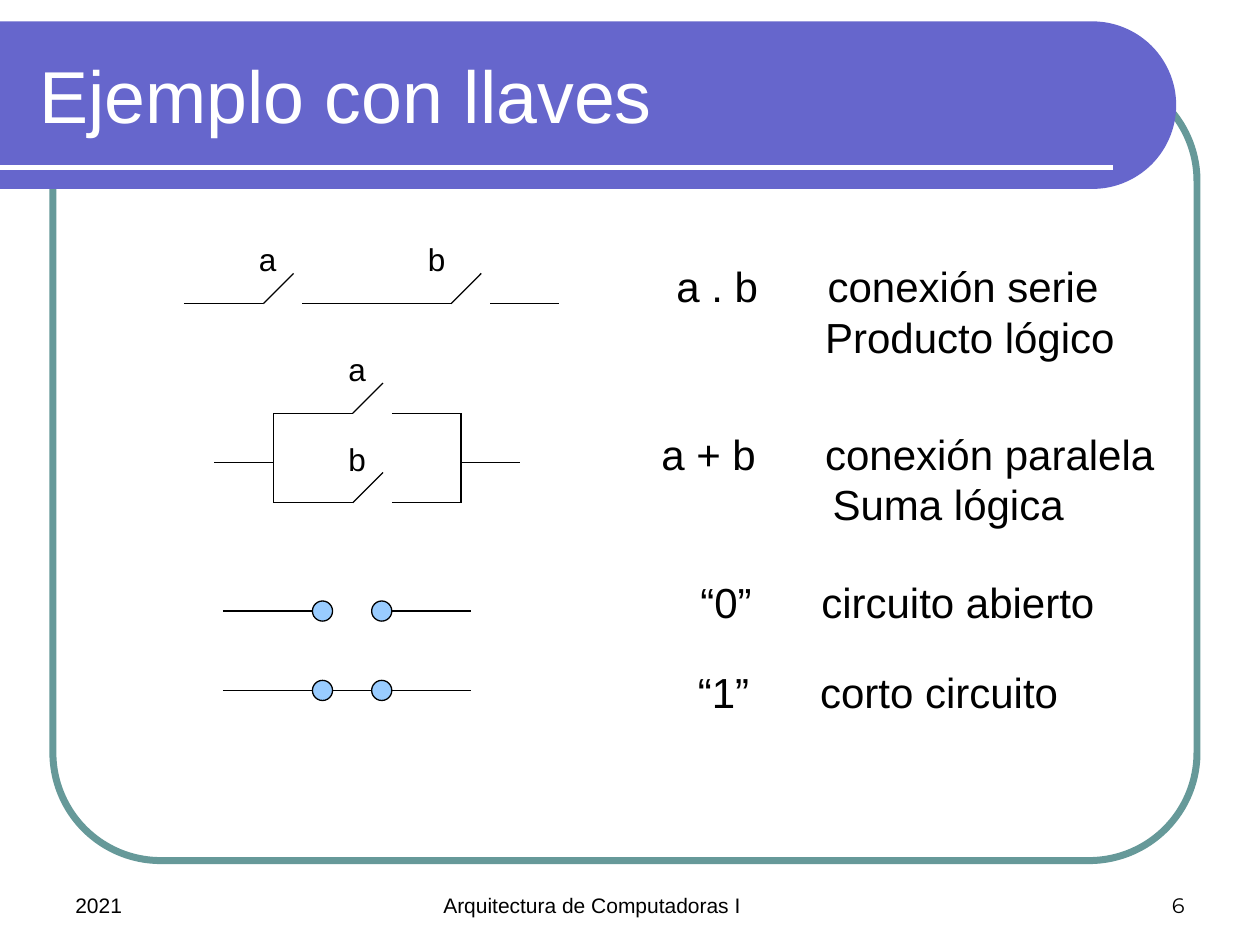
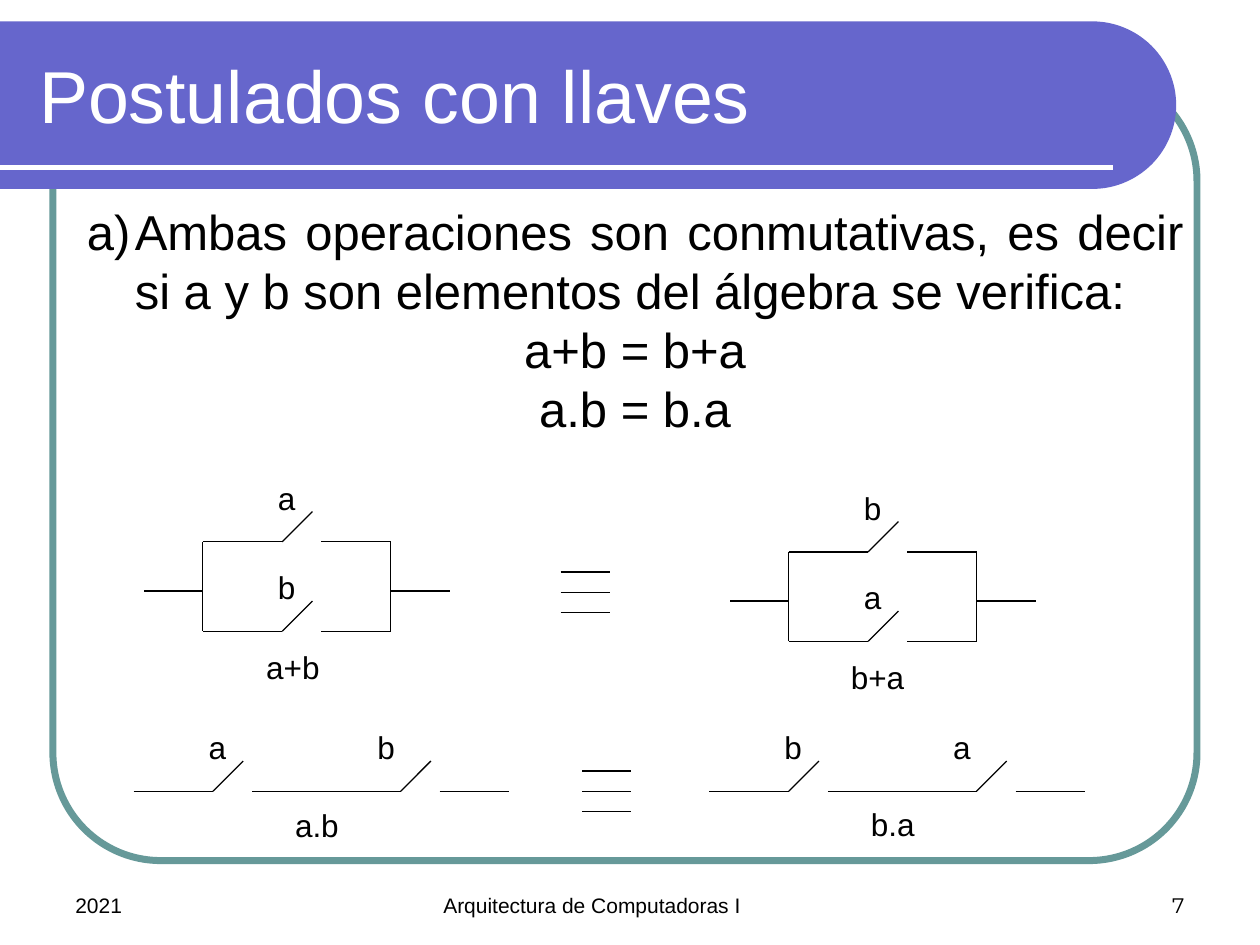
import math

import pptx
import pptx.dml.color
import pptx.enum.shapes
import pptx.enum.text
import pptx.oxml
import pptx.oxml.ns
import pptx.util
from lxml import etree

Inches = pptx.util.Inches
Pt = pptx.util.Pt
RGB = pptx.dml.color.RGBColor.from_string
ALIGN = pptx.enum.text.PP_ALIGN
ANCHOR = pptx.enum.text.MSO_ANCHOR
SHAPE = pptx.enum.shapes.MSO_SHAPE
qn = pptx.oxml.ns.qn

COLORS = {
    "band": "6666CC",
    "frame": "669999",
    "dot": "99CCFF",
    "white": "FFFFFF",
    "ink": "000000",
}


def write(shape, text, size=18, color="ink", font="Arial", align=ALIGN.CENTER,
          anchor=ANCHOR.TOP, wrap=True, indents=()):
    tf = shape.text_frame
    tf.word_wrap = wrap
    tf.auto_size = pptx.enum.text.MSO_AUTO_SIZE.NONE
    tf.vertical_anchor = anchor
    for i, content in enumerate(text.split("\n")):
        p = tf.add_paragraph() if i else tf.paragraphs[0]
        p.alignment = align
        p.space_before = Pt(0)
        if indents:
            left, first = indents[i]
            pPr = p._p.get_or_add_pPr()
            pPr.set("marL", str(Inches(left)))
            pPr.set("indent", str(Inches(first)))
        r = p.add_run()
        r.text = content
        r.font.size = Pt(size)
        r.font.name = font
        r.font.color.rgb = RGB(COLORS[color])


def line(s, x1, y1, x2, y2, color="ink", width=0.75):
    c = s.shapes.add_connector(pptx.enum.shapes.MSO_CONNECTOR.STRAIGHT,
                               Inches(x1), Inches(y1), Inches(x2), Inches(y2))
    c.line.color.rgb = RGB(COLORS[color])
    c.line.width = Pt(width)
    etree.SubElement(c._element.spPr, qn("a:effectLst"))
    return c


prs = pptx.Presentation()
prs.slide_width = Inches(10)
prs.slide_height = Inches(7.5)
keys = prs.slides.add_slide(prs.slide_layouts[5])
postulates = prs.slides.add_slide(prs.slide_layouts[1])

frame = keys.shapes.add_shape(SHAPE.ROUNDED_RECTANGLE, Inches(0.42), Inches(0.58),
                              Inches(9.08), Inches(6.25))
frame.adjustments[0] = 0.137
frame.shadow.inherit = False
frame.fill.background()
frame.line.color.rgb = RGB(COLORS["frame"])
frame.line.width = Pt(4)

radius, cx, cy = 0.665, 8.67, 0.835
arc = [(cx + radius * math.cos(math.radians(a)), cy + radius * math.sin(math.radians(a)))
       for a in range(-90, 91, 3)]
outline = keys.shapes.build_freeform(0, Inches(cy - radius))
outline.add_line_segments([(Inches(x), Inches(y)) for x, y in arc]
                          + [(0, Inches(cy + radius))])
band = outline.convert_to_shape()
band.shadow.inherit = False
band.fill.solid()
band.fill.fore_color.rgb = RGB(COLORS["band"])
band.line.fill.background()
rule = line(keys, 0, 1.33, 8.83, 1.33, "white", 3)

shared = [frame, band, rule]
for text, x, w in [("Arquitectura de Computadoras I", 3.42, 3.17), ("2021", 0.5, 2.33)]:
    footer = keys.shapes.add_textbox(Inches(x), Inches(6.83), Inches(w), Inches(0.5))
    write(footer, text, size=12, align=ALIGN.LEFT, anchor=ANCHOR.BOTTOM)
    shared.append(footer)
for i, shape in enumerate(shared):
    shape.element.xpath(".//p:cNvPr")[0].set("id", str(101 + i))
    prs.slide_master.shapes.element.append(shape.element)

for s, title, number in [(keys, "Ejemplo con llaves", "6"),
                         (postulates, "Postulados con llaves", "7")]:
    sp = s.shapes.title
    sp.left, sp.top, sp.width, sp.height = [Inches(v) for v in (0.21, 0.25, 6.83, 1)]
    write(sp, title, size=42, color="white", align=ALIGN.LEFT, anchor=ANCHOR.MIDDLE)
    sp = s.shapes.add_textbox(Inches(7.17), Inches(6.83), Inches(2.33), Inches(0.5))
    write(sp, number, size=12, font="Montserrat", align=ALIGN.RIGHT, anchor=ANCHOR.BOTTOM)

body = postulates.placeholders[1]
body.left, body.top, body.width, body.height = [Inches(v) for v in (0.59, 1.55, 8.9, 1.99)]
write(body, "Ambas operaciones son conmutativas, es decir si a y b son elementos "
      "del álgebra se verifica:\na+b = b+a\na.b = b.a",
      size=28, indents=[(0.38, -0.38)] * 3)
body.text_frame.paragraphs[0].alignment = ALIGN.JUSTIFY
for i, p in enumerate(body.text_frame.paragraphs):
    bullet = etree.SubElement(p._p.get_or_add_pPr(), qn("a:buNone" if i else "a:buAutoNum"))
    if i == 0:
        bullet.set("type", "alphaLcParenR")

switches = []
for s, x, y, first, second in [(keys, 1.46, 2.41, "a", "b"),
                               (postulates, 1.06, 6.28, "a", "b"),
                               (postulates, 5.63, 6.28, "b", "a")]:
    switches += [(s, x, y, first, 0.39), (s, x + 1.49, y, second, 0.24)]

for s, x, y, upper, lower in [(keys, 2.17, 3.28, "a", "b"),
                              (postulates, 1.61, 4.3, "a", "b"),
                              (postulates, 6.26, 4.38, "b", "a")]:
    switches += [(s, x, y, upper, 0.39), (s, x, y + 0.71, lower, 0.39)]
    for rail, lead in [(x, x - 0.47), (x + 1.49, x + 1.96)]:
        line(s, rail, y, rail, y + 0.71)
        line(s, rail, y + 0.39, lead, y + 0.39)

for s, x, y, name, offset in switches:
    line(s, x, y, x + 0.63, y)
    line(s, x + 0.63, y, x + 0.87, y - 0.24)
    line(s, x + 0.94, y, x + 1.49, y)
    sp = s.shapes.add_textbox(Inches(x + offset), Inches(y - 0.55), Inches(0.55), Inches(0.4))
    write(sp, name)

line(keys, 2.56, 5.48, 3.03, 5.48)
for y in (4.85, 5.48):
    for start, dot_x in [(1.77, 2.48), (3.03, 2.95)]:
        line(keys, start, y, start + 0.71, y)
        dot = keys.shapes.add_shape(SHAPE.OVAL, Inches(dot_x), Inches(y - 0.08),
                                    Inches(0.16), Inches(0.16))
        dot.shadow.inherit = False
        dot.fill.solid()
        dot.fill.fore_color.rgb = RGB(COLORS["dot"])
        dot.line.color.rgb = RGB(COLORS["ink"])
        dot.line.width = Pt(0.75)

meanings = [
    ("a . b\tconexión serie\nProducto lógico", 5, 2.02, 4.09, 0.91, (0.27, 1.47, 1.45)),
    ("a + b\tconexión paralela\nSuma lógica", 5.08, 3.35, 4.25, 0.91, (0.07, 1.37, 1.43)),
    ("“0”\tcircuito abierto", 5.39, 4.53, 3.46, 0.5, (0.07, 1.03, 0)),
    ("“1”\tcorto circuito", 5.24, 5.24, 3.46, 0.5, (0.2, 1.17, 0)),
]
for text, x, y, w, h, (term, meaning, operation) in meanings:
    sp = keys.shapes.add_textbox(Inches(x), Inches(y), Inches(w), Inches(h))
    write(sp, text, size=24, align=ALIGN.LEFT,
          indents=[(meaning, term - meaning), (operation, 0)])

for x, y in [(4.45, 4.54), (4.62, 6.12)]:
    for i in range(3):
        line(postulates, x, y + 0.16 * i, x + 0.39, y + 0.16 * i)

for text, x, y, w in [("a+b", 2.01, 5.09, 0.63), ("b+a", 6.65, 5.17, 0.63),
                      ("a.b", 2.24, 6.35, 0.55), ("b.a", 6.81, 6.34, 0.55)]:
    sp = postulates.shapes.add_textbox(Inches(x), Inches(y), Inches(w), Inches(0.4))
    write(sp, text, wrap=False)

prs.save("out.pptx")
